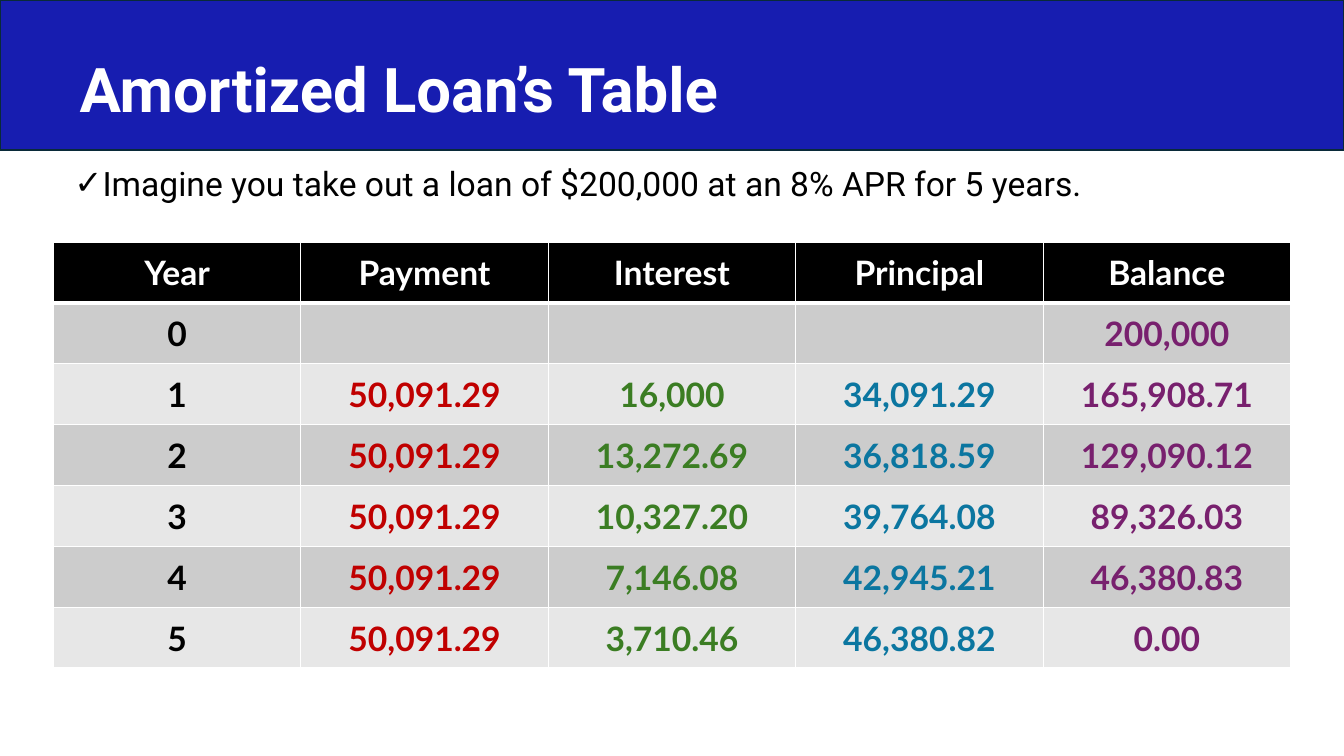
"""Build a slide with the repayment table of an amortized loan."""
from lxml import etree
from pptx import Presentation
from pptx.dml.color import RGBColor
from pptx.enum import shapes, text
from pptx.oxml import ns
from pptx.util import Inches, Pt

WHITE = RGBColor(0xFF, 0xFF, 0xFF)
BLACK = RGBColor(0x00, 0x00, 0x00)
BANNER_BLUE = RGBColor(0x17, 0x1D, 0xB0)
BANNER_EDGE = RGBColor(0x09, 0x2A, 0x39)
DARK_BAND = RGBColor(0xCC, 0xCC, 0xCC)
LIGHT_BAND = RGBColor(0xE7, 0xE7, 0xE7)
PAYMENT_RED = RGBColor(0xC0, 0x00, 0x00)
INTEREST_GREEN = RGBColor(0x3B, 0x7D, 0x23)
PRINCIPAL_BLUE = RGBColor(0x0B, 0x76, 0xA0)
BALANCE_PURPLE = RGBColor(0x78, 0x20, 0x6E)

COLUMN_COLOURS = [BLACK, PAYMENT_RED, INTEREST_GREEN, PRINCIPAL_BLUE, BALANCE_PURPLE]
SCHEDULE = [
    ["Year", "Payment", "Interest", "Principal", "Balance"],
    ["0", "", "", "", "200,000"],
    ["1", "50,091.29", "16,000", "34,091.29", "165,908.71"],
    ["2", "50,091.29", "13,272.69", "36,818.59", "129,090.12"],
    ["3", "50,091.29", "10,327.20", "39,764.08", "89,326.03"],
    ["4", "50,091.29", "7,146.08", "42,945.21", "46,380.83"],
    ["5", "50,091.29", "3,710.46", "46,380.82", "0.00"],
]


def add_run(paragraph, words, font_name, size, colour, bold=False):
    run = paragraph.add_run()
    run.text = words
    run.font.name = font_name
    run.font.size = Pt(size)
    run.font.color.rgb = colour
    run.font.bold = bold


def add_banner(slide):
    banner = slide.shapes.add_shape(
        shapes.MSO_SHAPE.RECTANGLE, 0, 0, Inches(13.33), Inches(1.49))
    banner.shadow.inherit = False
    banner.fill.solid()
    banner.fill.fore_color.rgb = BANNER_BLUE
    banner.line.color.rgb = BANNER_EDGE
    banner.line.width = Pt(1.5)
    slide.shapes.element.insert(2, banner.element)


def fill_title(slide, words):
    title = slide.shapes.title
    title.left, title.top = Inches(0.69), Inches(0.29)
    title.width, title.height = Inches(12.28), Inches(1.25)
    frame = title.text_frame
    frame.auto_size = text.MSO_AUTO_SIZE.NONE
    frame.vertical_anchor = text.MSO_ANCHOR.MIDDLE
    paragraph = frame.paragraphs[0]
    paragraph.alignment = text.PP_ALIGN.LEFT
    paragraph.line_spacing = 0.9
    add_run(paragraph, words, "Roboto", 44, WHITE, bold=True)


def add_checked_point(slide, words):
    point = slide.shapes.add_textbox(
        Inches(0.64), Inches(1.61), Inches(12.27), Inches(0.6))
    point.text_frame.word_wrap = True
    paragraph = point.text_frame.paragraphs[0]
    paragraph.line_spacing = 0.9
    paragraph.space_after = Pt(6)
    properties = paragraph._p.get_or_add_pPr()
    properties.set("marL", str(Inches(0.25)))
    properties.set("indent", str(-Inches(0.25)))
    etree.SubElement(properties, ns.qn("a:buFont"), typeface="Roboto")
    etree.SubElement(properties, ns.qn("a:buChar"), char="✓")
    add_run(paragraph, words, "Roboto", 24, BLACK)


def add_borders(cell, top, bottom):
    properties = cell._tc.get_or_add_tcPr()
    widths = {"lnL": 1, "lnR": 1, "lnT": top, "lnB": bottom}
    for position, (side, width) in enumerate(widths.items()):
        edge = etree.Element(ns.qn(f"a:{side}"), w=str(Pt(width)))
        fill = etree.SubElement(edge, ns.qn("a:solidFill"))
        etree.SubElement(fill, ns.qn("a:srgbClr"), val=str(WHITE))
        properties.insert(position, edge)


def fill_cell(cell, words, colour, band):
    cell.fill.solid()
    cell.fill.fore_color.rgb = band
    cell.vertical_anchor = text.MSO_ANCHOR.MIDDLE
    cell.margin_left = cell.margin_right = cell.margin_top = Inches(0.01)
    cell.margin_bottom = 0
    paragraph = cell.text_frame.paragraphs[0]
    paragraph.alignment = text.PP_ALIGN.CENTER
    if words:
        add_run(paragraph, words, "Lato", 24, colour, bold=True)


def add_schedule(slide):
    row_count, column_count = len(SCHEDULE), len(COLUMN_COLOURS)
    schedule = slide.shapes.add_table(
        row_count, column_count,
        Inches(0.53), Inches(2.4), Inches(12.27), Inches(4.23)).table
    for row, values in enumerate(SCHEDULE):
        is_header = row == 0
        band = BLACK if is_header else DARK_BAND if row % 2 else LIGHT_BAND
        for column, words in enumerate(values):
            cell = schedule.cell(row, column)
            colour = WHITE if is_header else COLUMN_COLOURS[column]
            fill_cell(cell, words, colour, band)
            add_borders(cell, top=3 if row == 1 else 1, bottom=3 if is_header else 1)


def main():
    deck = Presentation()
    deck.slide_width, deck.slide_height = Inches(13.33), Inches(7.5)
    slide = deck.slides.add_slide(deck.slide_layouts.get_by_name("Title Only"))
    add_banner(slide)
    fill_title(slide, "Amortized Loan’s Table")
    add_checked_point(
        slide, "Imagine you take out a loan of $200,000 at an 8% APR for 5 years.")
    add_schedule(slide)
    deck.save("out.pptx")


if __name__ == "__main__":
    main()
